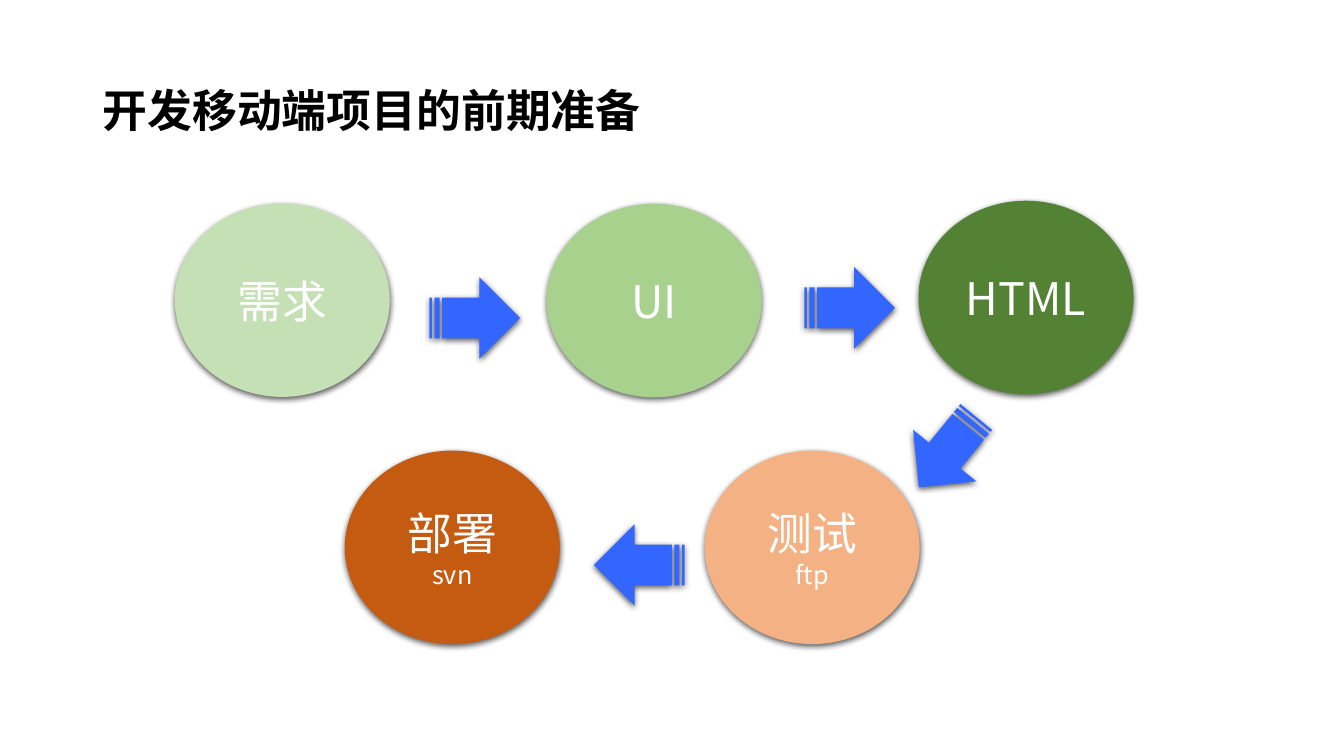
"""Build a slide showing the preparation steps of a mobile project."""
import pptx
import pptx.util
import pptx.dml.color
import pptx.enum.shapes
import pptx.enum.text
import pptx.oxml
import pptx.oxml.ns

FONT = "Noto Sans CJK SC"
COLORS = {
    "title": "000000", "text": "FFFFFF", "arrow": "3366FF",
    "need": "C5E0B4", "ui": "A9D18E", "html": "548235",
    "test": "F4B183", "deploy": "C55A11",
}
SHADOW = (
    f'<a:effectLst {pptx.oxml.ns.nsdecls("a")}>'
    '<a:outerShdw blurRad="57150" dist="19050" dir="5400000" algn="ctr" rotWithShape="0">'
    '<a:srgbClr val="000000"><a:alpha val="63000"/></a:srgbClr>'
    '</a:outerShdw></a:effectLst>'
)
MSO = pptx.enum.shapes.MSO_SHAPE
ALIGN = pptx.enum.text.PP_ALIGN

prs = pptx.Presentation()
prs.slide_width = pptx.util.Inches(13.33)
prs.slide_height = pptx.util.Inches(7.5)
s = prs.slides.add_slide(prs.slide_layouts[6])
col, row = prs.slide_width / 100, prs.slide_height / 100


def write(sp, text, sizes=(32,), color="text", bold=False, align=ALIGN.CENTER, spacing=1.0):
    tf = sp.text_frame
    tf.word_wrap = True
    tf.vertical_anchor = pptx.enum.text.MSO_ANCHOR.MIDDLE
    for i, (line, size) in enumerate(zip(text.split("\n"), sizes)):
        p = tf.add_paragraph() if i else tf.paragraphs[0]
        p.alignment = align
        p.line_spacing = spacing
        r = p.add_run()
        r.text = line
        r.font.size = pptx.util.Pt(size)
        r.font.bold = bold
        r.font.name = FONT
        r.font.color.rgb = pptx.dml.color.RGBColor.from_string(COLORS[color])
        ea = pptx.oxml.parse_xml(f'<a:ea {pptx.oxml.ns.nsdecls("a")} typeface="{FONT}"/>')
        r.font._element.append(ea)


def add_solid(kind, x, y, w, h, color):
    sp = s.shapes.add_shape(kind, *map(round, (x * col, y * row, w * col, h * row)))
    sp.fill.solid()
    sp.fill.fore_color.rgb = pptx.dml.color.RGBColor.from_string(COLORS[color])
    sp.line.fill.background()
    sp._element.spPr.append(pptx.oxml.parse_xml(SHADOW))
    return sp


title = s.shapes.add_textbox(*map(round, (6.9 * col, 5.33 * row, 86.25 * col, 19.33 * row)))
write(title, "开发移动端项目的前期准备", color="title", bold=True, align=ALIGN.LEFT, spacing=0.9)

steps = [
    ("需求", 13, 26.9, "need"),
    ("UI", 40.67, 26.95, "ui"),
    ("HTML", 68.34, 26.55, "html"),
    ("测试\nftp", 52.43, 59.6, "test"),
    ("部署\nsvn", 25.65, 59.6, "deploy"),
]
for text, x, y, color in steps:
    sp = add_solid(MSO.OVAL, x, y, 16, 25.6, color)
    write(sp, text, sizes=(32, 18))

arrows = [
    (31.95, 36.67, 0),
    (59.85, 35.33, 0),
    (44.18, 69.33, 180),
    (67.13, 54.4, 129.2),
]
for x, y, angle in arrows:
    sp = add_solid(MSO.STRIPED_RIGHT_ARROW, x, y, 6.75, 10.8, "arrow")
    sp.rotation = angle

prs.save("out.pptx")
